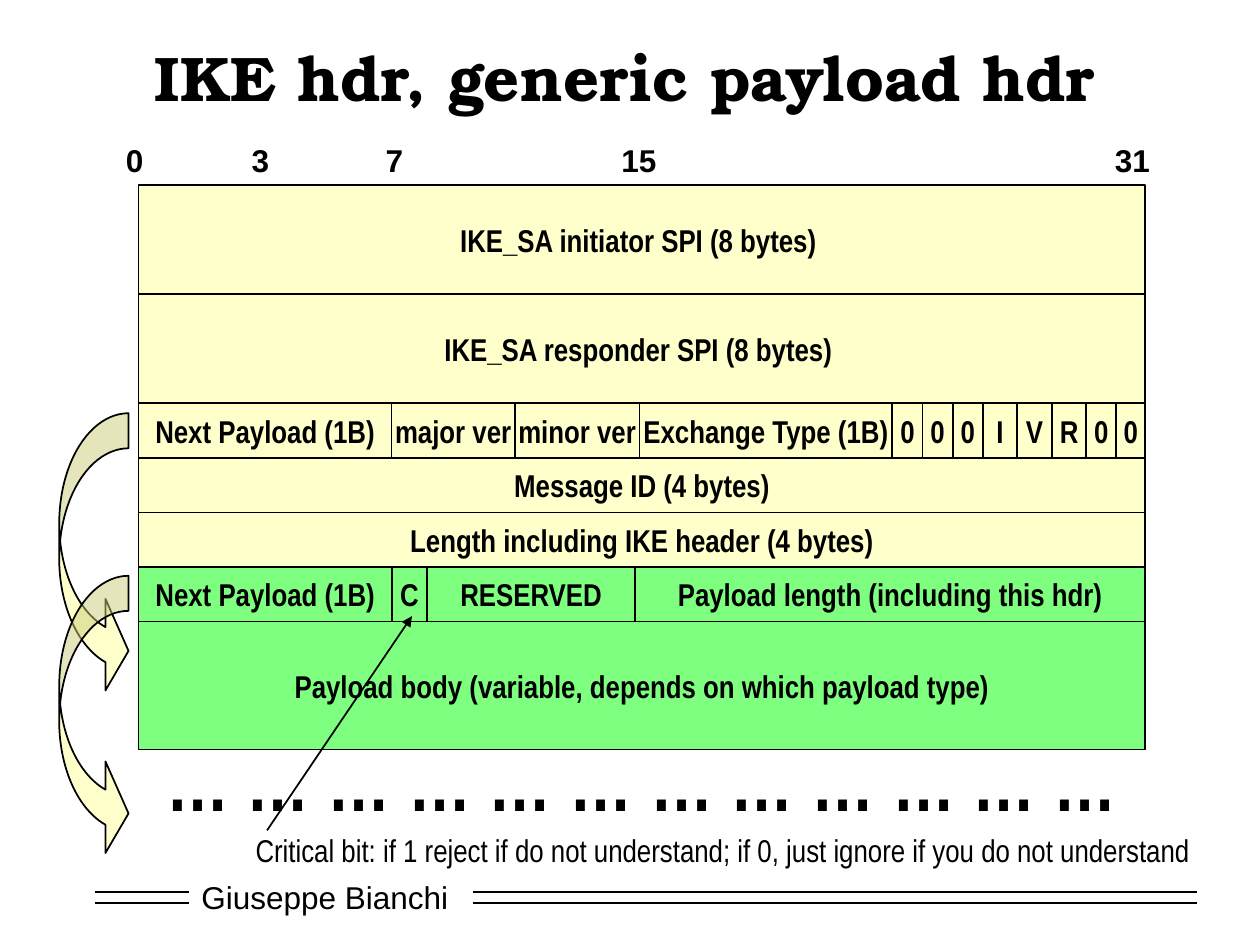
from lxml.etree import SubElement
from pptx import Presentation
from pptx.dml.color import RGBColor
from pptx.enum.shapes import MSO_CONNECTOR as Link, MSO_SHAPE as Form
from pptx.enum.text import MSO_ANCHOR as Anchor, MSO_AUTO_SIZE as Fit, PP_ALIGN as Align
from pptx.oxml.ns import qn
from pptx.util import Inches, Pt

BLACK = RGBColor(0, 0, 0)
WHITE = RGBColor(255, 255, 255)
YELLOW = RGBColor(255, 255, 153)
GREEN = RGBColor(0, 255, 0)
SANS, NARROW, SERIF = "Arial", "Arial Narrow", "TeX Gyre Bonum"

MARKS = [("0", -0.004), ("3", 0.121), ("7", 0.254), ("15", 0.497), ("31", 0.987)]
FLAGS = [("0", 0.24), ("0", 0.24), ("0", 0.24), ("I", 0.27),
         ("V", 0.28), ("R", 0.27), ("0", 0.24), ("0", 0.23)]
ROWS = [
    (2, YELLOW, [("IKE_SA initiator SPI (8 bytes) ", 1)]),
    (2, YELLOW, [("IKE_SA responder SPI (8 bytes) ", 1)]),
    (1, YELLOW, [("Next Payload (1B)", 2.01), ("major ver", 0.98), ("minor ver", 0.99),
                 ("Exchange Type (1B)", 2.01)] + FLAGS),
    (1, YELLOW, [("Message ID (4 bytes)", 1)]),
    (1, YELLOW, [("Length including IKE header (4 bytes)", 1)]),
    (1, GREEN, [("Next Payload (1B)", 2.01), ("C", 0.28), ("RESERVED", 1.65),
                ("Payload length (including this hdr)", 4.05)]),
    (2.35, GREEN, [("Payload body (variable, depends on which payload type)", 1)]),
]


def write(shape, text, face, size=18, bold=False, align=Align.LEFT, anchor=Anchor.TOP):
    """Put one unwrapped line of text into a shape."""
    frame = shape.text_frame
    frame.text = text
    frame.word_wrap = False
    frame.auto_size = Fit.NONE
    frame.vertical_anchor = anchor
    para = frame.paragraphs[0]
    para.alignment = align
    font = para.font
    font.name, font.size, font.bold = face, Pt(size), bold
    font.color.rgb = BLACK


def label(slide, box, text, face, **style):
    """Add a text box."""
    write(slide.shapes.add_textbox(*map(Inches, box)), text, face, **style)


def block(slide, form, box, tint):
    """Add a half-transparent outlined shape."""
    shape = slide.shapes.add_shape(form, *map(Inches, box))
    shape.shadow.inherit = False
    shape.fill.solid()
    shape.fill.fore_color.rgb = tint
    hue = next(shape._element.spPr.iter(qn("a:srgbClr")))
    SubElement(hue, qn("a:alpha"), val="50000")
    shape.line.color.rgb = BLACK
    shape.line.width = Pt(1)
    return shape


def rule(slide, start, end, arrow=False):
    """Draw a thin black line, with an arrowhead if asked."""
    line = slide.shapes.add_connector(Link.STRAIGHT, *map(Inches, start + end))
    line.line.color.rgb = BLACK
    line.line.width = Pt(1)
    if arrow:
        SubElement(line.line._get_or_add_ln(), qn("a:tailEnd"), type="triangle")
    SubElement(line._element.spPr, qn("a:effectLst"))


def footer(slide, box):
    """Set the author's name between pairs of rules."""
    left, top, width, height = box
    name = slide.shapes.add_shape(
        Form.RECTANGLE, *map(Inches, (left + 0.75, top, 2.17, height)))
    name.shadow.inherit = False
    name.fill.solid()
    name.fill.fore_color.rgb = WHITE
    name.line.fill.background()
    write(name, "Giuseppe Bianchi", SANS, anchor=Anchor.MIDDLE)
    for y in (top + 0.4 * height, top + 0.62 * height):
        rule(slide, (left, y), (left + 0.75, y))
        rule(slide, (left + 3, y), (left + width, y))


def heading(slide, box, text):
    """Place and format the title."""
    title = slide.shapes.title
    title.left, title.top, title.width, title.height = map(Inches, box)
    write(title, text, SERIF, size=36, bold=True, align=Align.CENTER, anchor=Anchor.MIDDLE)


def scale(slide, box):
    """Number the bits along the top of the packet."""
    left, top, width, height = box
    for text, share in MARKS:
        label(slide, (left + share * width - 0.24, top, 0.48, height), text, SANS,
              bold=True, align=Align.CENTER)


def packet(slide, box):
    """Stack the rows of header fields."""
    left, top, width, height = box
    unit = height / sum(row[0] for row in ROWS)
    for rows, tint, fields in ROWS:
        x, tall = left, rows * unit
        total = sum(share for _, share in fields)
        for text, share in fields:
            wide = width * share / total
            cell = block(slide, Form.RECTANGLE, (x, top, wide, tall), tint)
            write(cell, text, NARROW, bold=True, align=Align.CENTER, anchor=Anchor.MIDDLE)
            x += wide
        top += tall


def chain(slide, box, step):
    """Curve two arrows from each next-payload field to its target."""
    left, top, width, height = box
    for turn in range(2):
        curl = block(slide, Form.CURVED_RIGHT_ARROW,
                     (left, top + turn * step, width, height), YELLOW)
        for spot, value in enumerate((0.506, 1.323, 0.333)):
            curl.adjustments[spot] = value


def notes(slide, box):
    """Add the dots and the remark on the critical bit."""
    left, top, width, height = box
    label(slide, (left, top, 7.75, 0.83), " ".join("…" * 12), NARROW, size=44, bold=True)
    rule(slide, (left + 0.9, top + 0.81), (left + 2.05, top - 0.89), arrow=True)
    label(slide, (left + 0.71, top + 0.77, width - 0.71, height - 0.77),
          "Critical bit: if 1 reject if do not understand; "
          "if 0, just ignore if you do not understand", NARROW)


def main():
    """Build and save the slide."""
    deck = Presentation()
    deck.slide_width, deck.slide_height = Inches(10), Inches(7.5)
    slide = deck.slides.add_slide(deck.slide_layouts[5])
    footer(slide, (0.75, 6.92, 8.75, 0.4))
    heading(slide, (0.75, 0.25, 8.42, 0.71), "IKE hdr, generic payload hdr")
    scale(slide, (1.1, 1.07, 7.99, 0.4))
    packet(slide, (1.1, 1.47, 7.99, 4.48))
    chain(slide, (0.47, 3.28, 0.55, 2.25), 1.29)
    notes(slide, (1.22, 5.78, 8.35, 1.17))
    deck.save("out.pptx")


if __name__ == "__main__":
    main()
